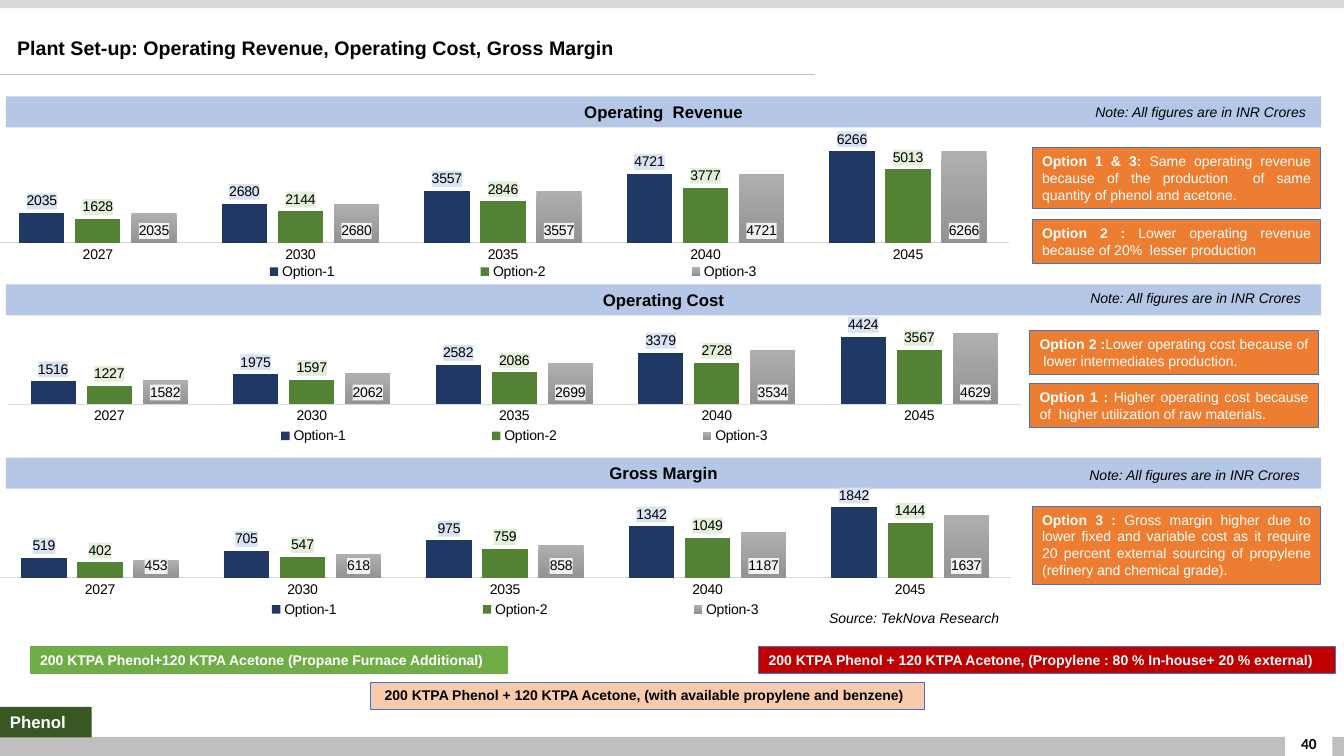
"""Build the slide comparing revenue, cost and margin of three plant set-up options."""
import pptx
import pptx.chart.data
import pptx.dml.color
import pptx.enum.chart
import pptx.enum.shapes
import pptx.enum.text
import pptx.oxml
import pptx.oxml.ns
import pptx.util

Pt = pptx.util.Pt
RGBColor = pptx.dml.color.RGBColor
ALIGN = pptx.enum.text.PP_ALIGN
ANCHOR = pptx.enum.text.MSO_ANCHOR
LABEL = pptx.enum.chart.XL_LABEL_POSITION

BLACK = RGBColor(0x00, 0x00, 0x00)
WHITE = RGBColor(0xFF, 0xFF, 0xFF)
SILVER = RGBColor(0xD9, 0xD9, 0xD9)
GREY = RGBColor(0xBF, 0xBF, 0xBF)
GREY_LIGHT = RGBColor(0xAF, 0xAF, 0xAF)
GREY_DARK = RGBColor(0x93, 0x93, 0x93)
BAND_BLUE = RGBColor(0xB4, 0xC7, 0xE7)
OUTLINE_BLUE = RGBColor(0x44, 0x72, 0xC4)
NAVY = RGBColor(0x20, 0x38, 0x64)
LEAF = RGBColor(0x54, 0x82, 0x35)
ORANGE = RGBColor(0xED, 0x7D, 0x31)
GREEN = RGBColor(0x70, 0xAD, 0x47)
PEACH = RGBColor(0xF8, 0xCB, 0xAD)
RED = RGBColor(0xC0, 0x00, 0x00)
FOREST = RGBColor(0x38, 0x57, 0x23)
LABEL_BLUE = RGBColor(0xDA, 0xE3, 0xF3)
LABEL_GREEN = RGBColor(0xE2, 0xF0, 0xD9)
LABEL_GREY = RGBColor(0xF2, 0xF2, 0xF2)

SMALL = {"name": "Arial", "size": Pt(10)}
BOLD = {**SMALL, "bold": True}
ITALIC = {**SMALL, "italic": True}
HEADING = {**BOLD, "size": Pt(12)}

presentation = pptx.Presentation()
presentation.slide_width, presentation.slide_height = Pt(960), Pt(540)
slide = presentation.slides.add_slide(presentation.slide_layouts[5])


def add_box(place, fill=None, line=None, runs=(), color=BLACK, align=ALIGN.LEFT, anchor=ANCHOR.TOP):
    """Add a rectangle, or a text box when it has no fill, with formatted runs."""
    place = [Pt(length) for length in place]
    if fill is None:
        shape = slide.shapes.add_textbox(*place)
    else:
        shape = slide.shapes.add_shape(pptx.enum.shapes.MSO_SHAPE.RECTANGLE, *place)
        shape.shadow.inherit = False
        shape.fill.solid()
        shape.fill.fore_color.rgb = fill
        if line is None:
            shape.line.fill.background()
        else:
            shape.line.color.rgb = line
            shape.line.width = Pt(0.75)
    frame = shape.text_frame
    frame.word_wrap = True
    frame.vertical_anchor = anchor
    paragraph = frame.paragraphs[0]
    paragraph.alignment = align
    for text, values in runs:
        run = paragraph.add_run()
        run.text = text
        run.font.color.rgb = color
        for key, value in values.items():
            setattr(run.font, key, value)
    return shape


def make_layout(x, y, width, height, inner=False):
    """Return a manual chart layout in fractions of the chart."""
    target = '<c:layoutTarget val="inner"/>' if inner else ""
    return pptx.oxml.parse_xml(
        f'<c:layout {pptx.oxml.ns.nsdecls("c")}><c:manualLayout>{target}'
        '<c:xMode val="edge"/><c:yMode val="edge"/>'
        f'<c:x val="{x}"/><c:y val="{y}"/><c:w val="{width}"/><c:h val="{height}"/>'
        '</c:manualLayout></c:layout>')


add_box((0, 526.3, 960, 13.7), GREY)
add_box((0, 0, 960, 5.8), SILVER)
add_box((918, 513.4, 33.8, 26.6), WHITE)
add_box((911.5, 517, 46.8, 28.8 - 5.8), runs=[("40", {**BOLD, "name": "Calibri", "size": Pt(11)})],
        align=ALIGN.CENTER, anchor=ANCHOR.MIDDLE).text_frame.margin_top = Pt(9)
rule = slide.shapes.add_connector(pptx.enum.shapes.MSO_CONNECTOR.STRAIGHT, 0, Pt(53.3), Pt(582.5), Pt(53.3))
rule.line.color.rgb = GREY
rule.line.width = Pt(0.5)
rule.element.spPr.append(pptx.oxml.parse_xml(f'<a:effectLst {pptx.oxml.ns.nsdecls("a")}/>'))

title = slide.shapes.title
for key, value in {"left": 5, "top": 15.8, "width": 584, "height": 36}.items():
    setattr(title, key, Pt(value))
title.text_frame.text = "Plant Set-up: Operating Revenue, Operating Cost, Gross Margin"
title.text_frame.vertical_anchor = ANCHOR.MIDDLE
title.text_frame.paragraphs[0].alignment = ALIGN.LEFT
title_font = title.text_frame.paragraphs[0].font
for key, value in {**BOLD, "size": Pt(14)}.items():
    setattr(title_font, key, value)
title_font.color.rgb = BLACK

years = ["2027", "2030", "2035", "2040", "2045"]
option_styles = [(NAVY, LABEL_BLUE, LABEL.OUTSIDE_END), (LEAF, LABEL_GREEN, LABEL.OUTSIDE_END),
                 (None, LABEL_GREY, LABEL.INSIDE_BASE)]
panels = [
    ("Operating  Revenue", 68.9, (-2.9, 85.7, 724.3, 134.6), 0.543, 0.74, 7000, (775.4, 70.6),
     [(2035, 2680, 3557, 4721, 6266), (1628, 2144, 2846, 3777, 5013), (2035, 2680, 3557, 4721, 6266)]),
    ("Operating Cost", 203.2, (5.2, 220.3, 724.3, 127.4), 0.429, 0.65, 5000, (771.8, 203.2),
     [(1516, 1975, 2582, 3379, 4424), (1227, 1597, 2086, 2728, 3567), (1582, 2062, 2699, 3534, 4629)]),
    ("Gross Margin", 326.9, (-1.4, 344.2, 724.3, 127.4), 0.429, 0.65, 2000, (771.1, 329.8),
     [(519, 705, 975, 1342, 1842), (402, 547, 759, 1049, 1444), (453, 618, 858, 1187, 1637)]),
]
for heading, band_top, place, plot_height, legend_top, maximum, note_place, values in panels:
    add_box((4.3, band_top, 939.4, 22.1), BAND_BLUE, runs=[(heading, HEADING)], align=ALIGN.CENTER)
    add_box((*note_place, 185, 19.4), runs=[("Note: All figures are in INR Crores", ITALIC)])

    chart_data = pptx.chart.data.CategoryChartData(number_format="0")
    chart_data.categories = years
    for number, option_values in enumerate(values, 1):
        chart_data.add_series(f"Option-{number}", option_values)
    chart = slide.shapes.add_chart(pptx.enum.chart.XL_CHART_TYPE.COLUMN_CLUSTERED,
                                   *[Pt(length) for length in place], chart_data).chart
    chart.has_title = False
    chart.font.name, chart.font.size = "Arial", Pt(10)
    chart.font.color.rgb = BLACK
    chart.has_legend = True
    chart.legend.position = pptx.enum.chart.XL_LEGEND_POSITION.BOTTOM
    chart.legend.include_in_layout = False
    chart.element.xpath(".//c:legendPos")[0].addnext(make_layout(0.13, legend_top, 0.76, 0.13))
    plot_area = chart.element.xpath(".//c:plotArea")[0]
    for layout in plot_area.xpath("./c:layout"):
        plot_area.remove(layout)
    plot_area.insert(0, make_layout(0, 0.109, 1, plot_height, inner=True))

    value_axis = chart.value_axis
    for key, value in {"visible": False, "has_major_gridlines": False,
                       "minimum_scale": 0, "maximum_scale": maximum}.items():
        setattr(value_axis, key, value)
    chart.category_axis.major_tick_mark = pptx.enum.chart.XL_TICK_MARK.NONE
    chart.category_axis.format.line.color.rgb = SILVER
    chart.category_axis.format.line.width = Pt(1)

    plot = chart.plots[0]
    for key, value in {"gap_width": 100, "overlap": -24, "vary_by_categories": False}.items():
        setattr(plot, key, value)
    for series, (color, label_color, position) in zip(plot.series, option_styles):
        fill = series.format.fill
        if color is None:
            fill.gradient()
            fill.gradient_angle = 270
            for stop, stop_color in zip(fill.gradient_stops, (GREY_LIGHT, GREY_DARK)):
                stop.color.rgb = stop_color
        else:
            fill.solid()
            fill.fore_color.rgb = color
        labels = series.data_labels
        for key, value in {"show_value": True, "number_format": "0",
                           "number_format_is_linked": False, "position": position}.items():
            setattr(labels, key, value)
        labels.font.size = Pt(10)
        labels.font.color.rgb = BLACK
        label_text = chart.element.xpath(".//c:ser/c:dLbls/c:txPr")[-1]
        label_text.addprevious(pptx.oxml.parse_xml(
            f'<c:spPr {pptx.oxml.ns.nsdecls("c", "a")}><a:solidFill>'
            f'<a:srgbClr val="{label_color}"/></a:solidFill></c:spPr>'))

add_box((552.2, 432, 168.5, 19.4), runs=[("Source: TekNova Research", ITALIC)], align=ALIGN.RIGHT)

remarks = [
    (737.3, 105.4, 43.6, "Option 1 & 3: ",
     "Same operating revenue because of the production  of same quantity of phenol and acetone."),
    (737.3, 156.8, 31.5, "Option 2 : ", "Lower operating revenue because of 20%  lesser production"),
    (735.5, 235.9, 31.5, "Option 2 :", "Lower operating cost because of  lower intermediates production."),
    (735.5, 273.9, 31.5, "Option 1 : ", "Higher operating cost because of  higher utilization of raw materials."),
    (737.3, 361.5, 55.7, "Option 3 : ",
     "Gross margin higher due to lower fixed and variable cost as it require 20 percent external "
     "sourcing of propylene (refinery and chemical grade)."),
]
for left, top, height, option, remark in remarks:
    add_box((left, top, 206, height), ORANGE, OUTLINE_BLUE, [(option, BOLD), (remark, SMALL)],
            WHITE, ALIGN.JUSTIFY)

add_box((21.6, 461.9, 340.9, 19.4), GREEN, GREEN,
        [("200 KTPA Phenol+120 KTPA Acetone (Propane Furnace Additional)", BOLD)], WHITE)
add_box((264.8, 487.2, 395.8, 19.4), PEACH, OUTLINE_BLUE,
        [("200 KTPA Phenol + 120 KTPA Acetone, (with available propylene and benzene)", BOLD)]
        ).text_frame.margin_left = Pt(10)
add_box((542, 461.9, 412, 19.4), RED, OUTLINE_BLUE,
        [("200 KTPA Phenol + 120 KTPA Acetone, (Propylene : 80 % In-house+ 20 % external)", BOLD)], WHITE)
add_box((0, 504.9, 65.5, 21.8), FOREST, runs=[("Phenol", HEADING)], color=WHITE)

presentation.save("out.pptx")
